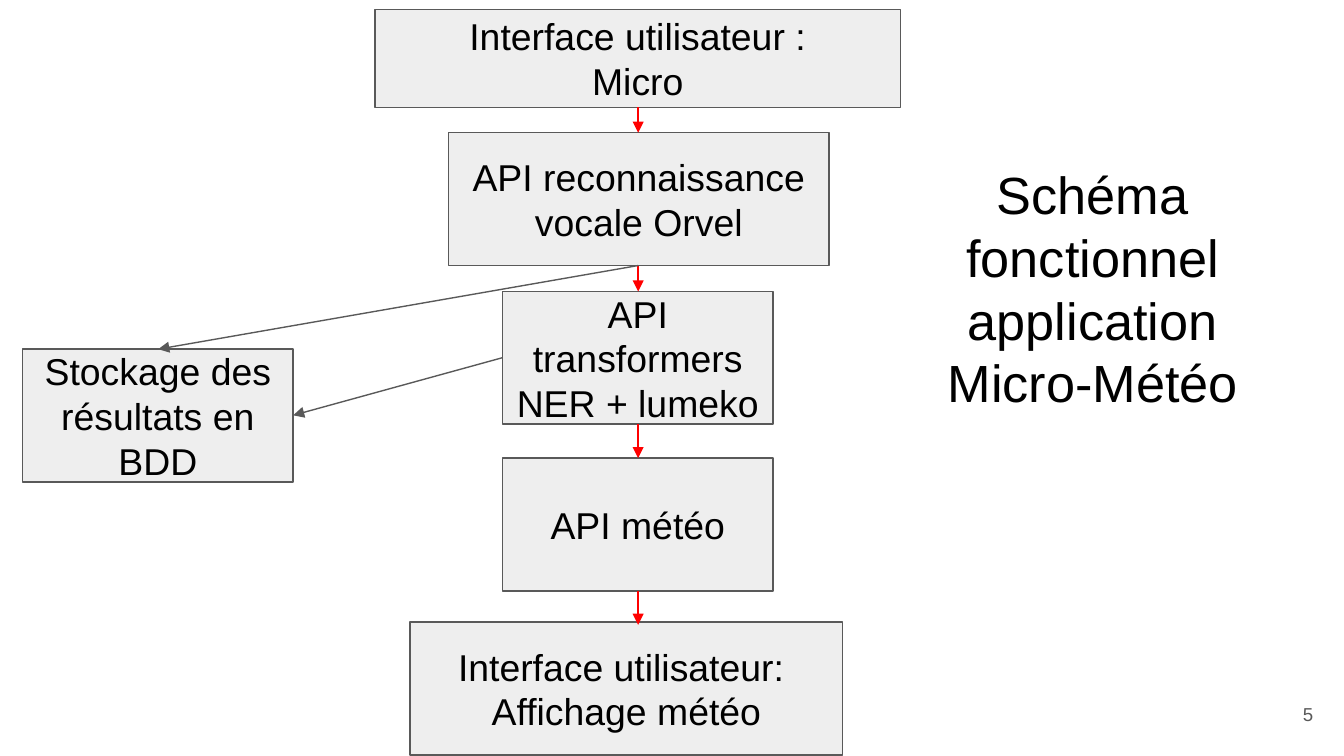
from typing import NamedTuple

from lxml import etree
from pptx import Presentation
from pptx import util as u
from pptx.dml.color import RGBColor
from pptx.enum import shapes, text
from pptx.oxml import ns

GRAY = RGBColor(0xEE, 0xEE, 0xEE)
DARK = RGBColor(0x59, 0x59, 0x59)
RED = RGBColor(0xFF, 0x00, 0x00)
BLACK = RGBColor(0x00, 0x00, 0x00)
MID = 12.06
TALL = 2.51
INSET = u.Cm(0.25)


class Box(NamedTuple):
    left: float
    top: float
    width: float
    height: float
    words: str


class Arrow(NamedTuple):
    x1: float
    y1: float
    x2: float
    y2: float
    color: RGBColor


BOXES = [
    Box(7.09, 0.18, 9.93, 1.85, "Interface utilisateur :\nMicro"),
    Box(8.48, 2.51, 7.19, TALL, "API reconnaissance vocale Orvel"),
    Box(9.5, 5.51, 5.11, TALL, "API transformers NER + lumeko"),
    Box(9.5, 8.66, 5.11, TALL, "API météo"),
    Box(7.75, 11.76, 8.18, TALL, "Interface utilisateur: \nAffichage météo"),
    Box(0.43, 6.6, 5.11, TALL, "Stockage des résultats en BDD"),
]
STEPS = [(2.03, 2.51), (5.02, 5.51), (8.02, 8.66), (11.17, 11.81)]
ARROWS = [Arrow(MID, top, MID, end, RED) for top, end in STEPS] + [
    Arrow(MID, 5.02, 2.99, 6.6, DARK),
    Arrow(9.5, 6.76, 5.54, 7.85, DARK),
]
TITLE = Box(16.56, 2.82, 8.18, 5.31, "Schéma fonctionnel application Micro-Météo")
PAGE = Box(23.55, 12.95, 1.52, 1.09, "5")


def place(box: Box) -> tuple:
    return tuple(u.Cm(n) for n in box[:4])


def write(shape, words: str, size: int, color: RGBColor = BLACK,
          align=text.PP_ALIGN.CENTER, anchor=text.MSO_ANCHOR.MIDDLE) -> None:
    frame = shape.text_frame
    frame.text = words
    frame.word_wrap = True
    frame.vertical_anchor = anchor
    frame.margin_left = frame.margin_right = INSET
    frame.margin_top = frame.margin_bottom = INSET
    for para in frame.paragraphs:
        para.alignment = align
        for run in para.runs:
            run.font.name = "Arial"
            run.font.size = u.Pt(size)
            run.font.color.rgb = color


def draw_box(slide, box: Box) -> None:
    shape = slide.shapes.add_shape(shapes.MSO_SHAPE.RECTANGLE, *place(box))
    shape.shadow.inherit = False
    shape.fill.solid()
    shape.fill.fore_color.rgb = GRAY
    shape.line.color.rgb = DARK
    shape.line.width = u.Pt(0.75)
    write(shape, box.words, 20)


def draw_arrow(slide, arrow: Arrow) -> None:
    ends = [u.Cm(n) for n in arrow[:4]]
    line = slide.shapes.add_connector(shapes.MSO_CONNECTOR.STRAIGHT, *ends)
    line.line.color.rgb = arrow.color
    line.line.width = u.Pt(0.75)
    props = line._element.spPr
    stroke = props.find(ns.qn("a:ln"))
    etree.SubElement(stroke, ns.qn("a:tailEnd"), type="triangle")
    etree.SubElement(props, ns.qn("a:effectLst"))


def main() -> None:
    deck = Presentation()
    deck.slide_width, deck.slide_height = u.Cm(25.4), u.Cm(14.29)
    slide = deck.slides.add_slide(deck.slide_layouts[6])
    for box in BOXES:
        draw_box(slide, box)
    for arrow in ARROWS:
        draw_arrow(slide, arrow)
    title = slide.shapes.add_textbox(*place(TITLE))
    write(title, TITLE.words, 28, anchor=text.MSO_ANCHOR.TOP)
    title.text_frame.auto_size = text.MSO_AUTO_SIZE.SHAPE_TO_FIT_TEXT
    page = slide.shapes.add_textbox(*place(PAGE))
    write(page, PAGE.words, 10, DARK, text.PP_ALIGN.RIGHT)
    deck.save("out.pptx")


if __name__ == "__main__":
    main()
